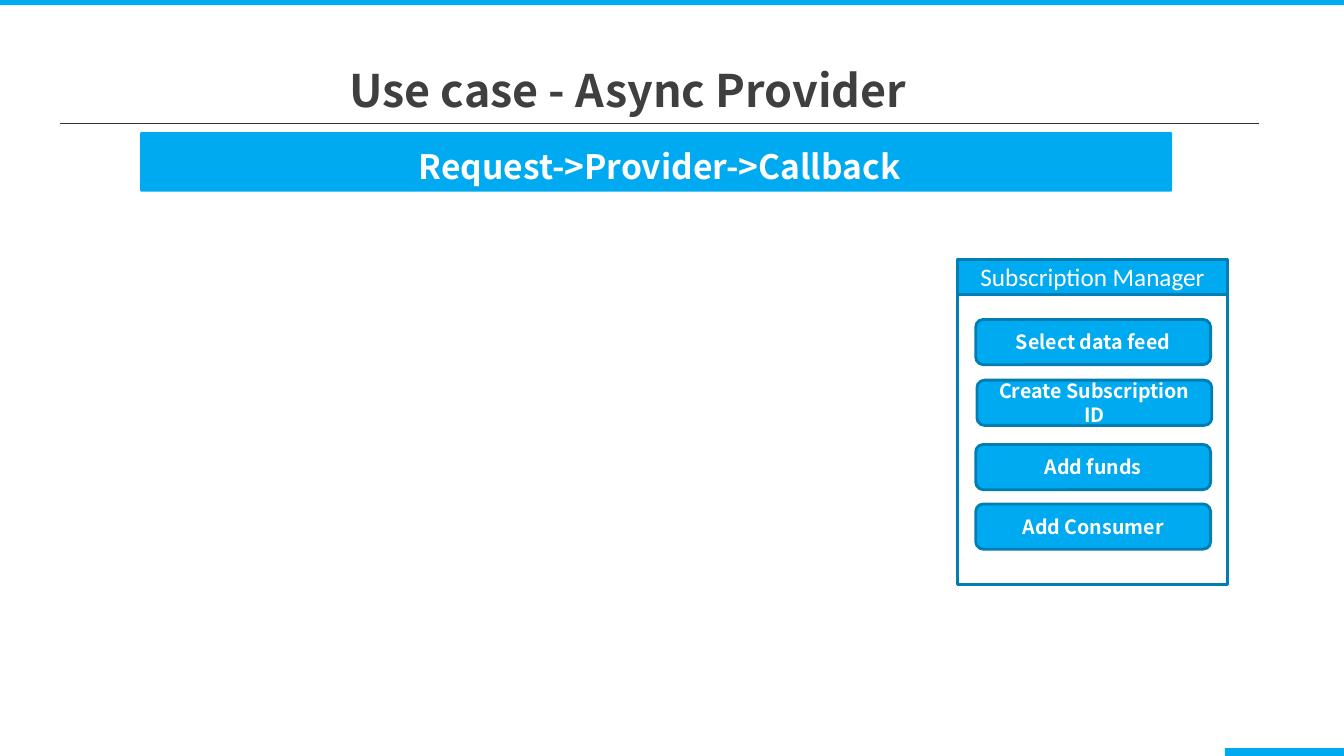
from dataclasses import dataclass

from lxml import etree
from pptx import Presentation
from pptx.dml.color import RGBColor
from pptx.enum.shapes import MSO_CONNECTOR, MSO_SHAPE
from pptx.enum.text import MSO_ANCHOR, MSO_AUTO_SIZE, PP_ALIGN
from pptx.oxml.ns import qn
from pptx.shapes.autoshape import Shape
from pptx.slide import Slide
from pptx.text.text import TextFrame
from pptx.util import Cm, Pt

RECT = MSO_SHAPE.RECTANGLE
ROUNDED = MSO_SHAPE.ROUNDED_RECTANGLE
STRAIGHT = MSO_CONNECTOR.STRAIGHT
MIDDLE = MSO_ANCHOR.MIDDLE
NO_AUTOFIT = MSO_AUTO_SIZE.NONE
CENTER = PP_ALIGN.CENTER

COLORS = {
    "accent": "00AAF0",
    "border": "007EB2",
    "rule": "333333",
    "title": "3F3F3F",
    "white": "FFFFFF",
}
HEADING_FONT = "Noto Sans CJK SC"
BODY_FONT = "Calibri"
TITLE_ONLY = 5
SLIDE_WIDTH, SLIDE_HEIGHT = 33.87, 19.05


@dataclass
class Box:
    """A preset shape; lengths in centimetres, colours as keys of COLORS."""
    left: float
    top: float
    width: float
    height: float
    kind: int = RECT
    fill: str | None = "accent"
    border: str | None = None
    text: str = ""
    size: int = 14
    font: str = HEADING_FONT
    bold: bool = True


def color(key: str) -> RGBColor:
    """Look up a colour of the slide."""
    return RGBColor.from_string(COLORS[key])


def write(frame: TextFrame, text: str, size: int, font: str, bold: bool, ink: str) -> None:
    """Put one centred line of text in the middle of a frame."""
    frame.text = text
    frame.word_wrap = True
    frame.auto_size = NO_AUTOFIT
    frame.vertical_anchor = MIDDLE
    paragraph = frame.paragraphs[0]
    paragraph.alignment = CENTER
    for run in paragraph.runs:
        run.font.size = Pt(size)
        run.font.name = font
        run.font.bold = bold
        run.font.color.rgb = color(ink)


def draw_box(slide: Slide, box: Box) -> Shape:
    """Draw a box with its fill, border and text."""
    shape = slide.shapes.add_shape(
        box.kind, Cm(box.left), Cm(box.top), Cm(box.width), Cm(box.height))
    shape.shadow.inherit = False
    if box.fill:
        shape.fill.solid()
        shape.fill.fore_color.rgb = color(box.fill)
    else:
        shape.fill.background()
    if box.border:
        shape.line.color.rgb = color(box.border)
        shape.line.width = Pt(2)
    else:
        shape.line.fill.background()
    if box.text:
        write(shape.text_frame, box.text, box.size, box.font, box.bold, "white")
    return shape


def draw_title(slide: Slide, text: str) -> None:
    """Place the title and the thin rule below it."""
    title = slide.shapes.title
    title.left, title.top, title.width, title.height = Cm(4.52), Cm(1.42), Cm(22.61), Cm(1.7)
    write(title.text_frame, text, 32, HEADING_FONT, True, "title")
    rule = slide.shapes.add_connector(STRAIGHT, Cm(1.52), Cm(3.12), Cm(31.72), Cm(3.12))
    rule.line.color.rgb = color("rule")
    rule.line.width = Pt(0.75)
    etree.SubElement(rule.element.spPr, qn("a:effectLst"))


def draw_banner(slide: Slide, text: str) -> None:
    """Draw the wide bar that names the flow."""
    banner = draw_box(slide, Box(3.53, 3.33, 26.01, 1.5, ROUNDED, text=text, size=24))
    banner.adjustments[0] = 0.024
    paragraph = banner.text_frame.paragraphs[0]
    paragraph.line_spacing = 1.2
    properties = paragraph._p.get_or_add_pPr()
    properties.set("marL", str(Cm(0.18)))
    properties.set("indent", "0")


def draw_manager(slide: Slide, heading: str, steps: list[tuple[str, float, float]]) -> None:
    """Draw the panel, its heading and one button for each step."""
    left, top, width = 24.13, 6.53, 6.81
    draw_box(slide, Box(left, top, width, 8.2, fill=None, border="border"))
    draw_box(slide, Box(left, top, width, 0.89, border="border", text=heading,
                        size=18, font=BODY_FONT, bold=False))
    for label, button_left, button_top in steps:
        draw_box(slide, Box(button_left, button_top, 5.92, 1.14, ROUNDED,
                            border="border", text=label))


def main() -> None:
    """Build the slide and save it."""
    deck = Presentation()
    deck.slide_width, deck.slide_height = Cm(SLIDE_WIDTH), Cm(SLIDE_HEIGHT)
    slide = deck.slides.add_slide(deck.slide_layouts[TITLE_ONLY])
    draw_box(slide, Box(0, 0, SLIDE_WIDTH, 0.13))
    draw_box(slide, Box(SLIDE_WIDTH - 3, SLIDE_HEIGHT - 0.2, 3, 0.2))
    draw_title(slide, "Use case - Async Provider")
    draw_banner(slide, "Request->Provider->Callback")
    draw_manager(slide, "Subscription Manager", [
        ("Select data feed", 24.59, 8.05),
        ("Create Subscription ID", 24.62, 9.58),
        ("Add funds", 24.59, 11.2),
        ("Add Consumer", 24.59, 12.7),
    ])
    deck.save("out.pptx")


main()
